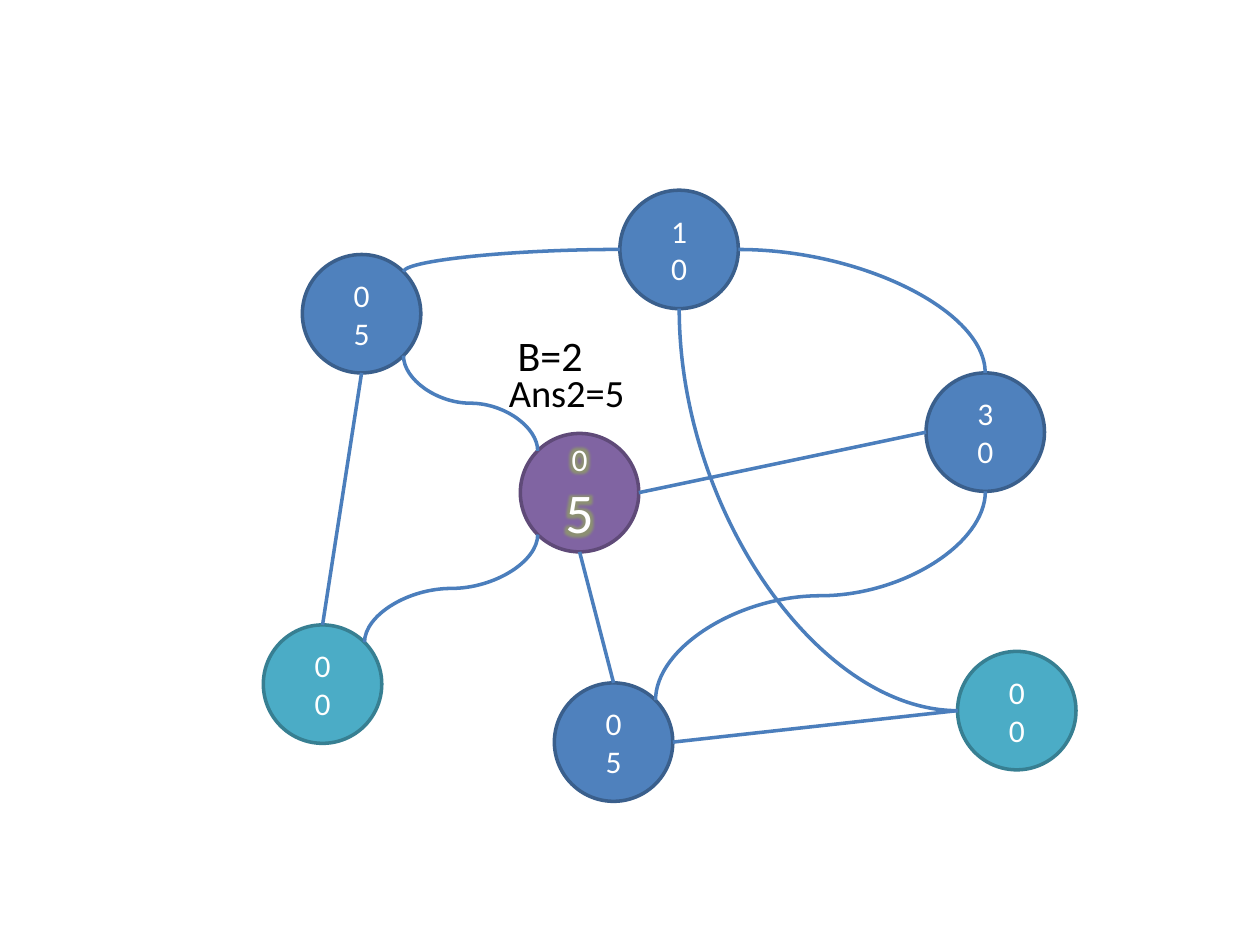
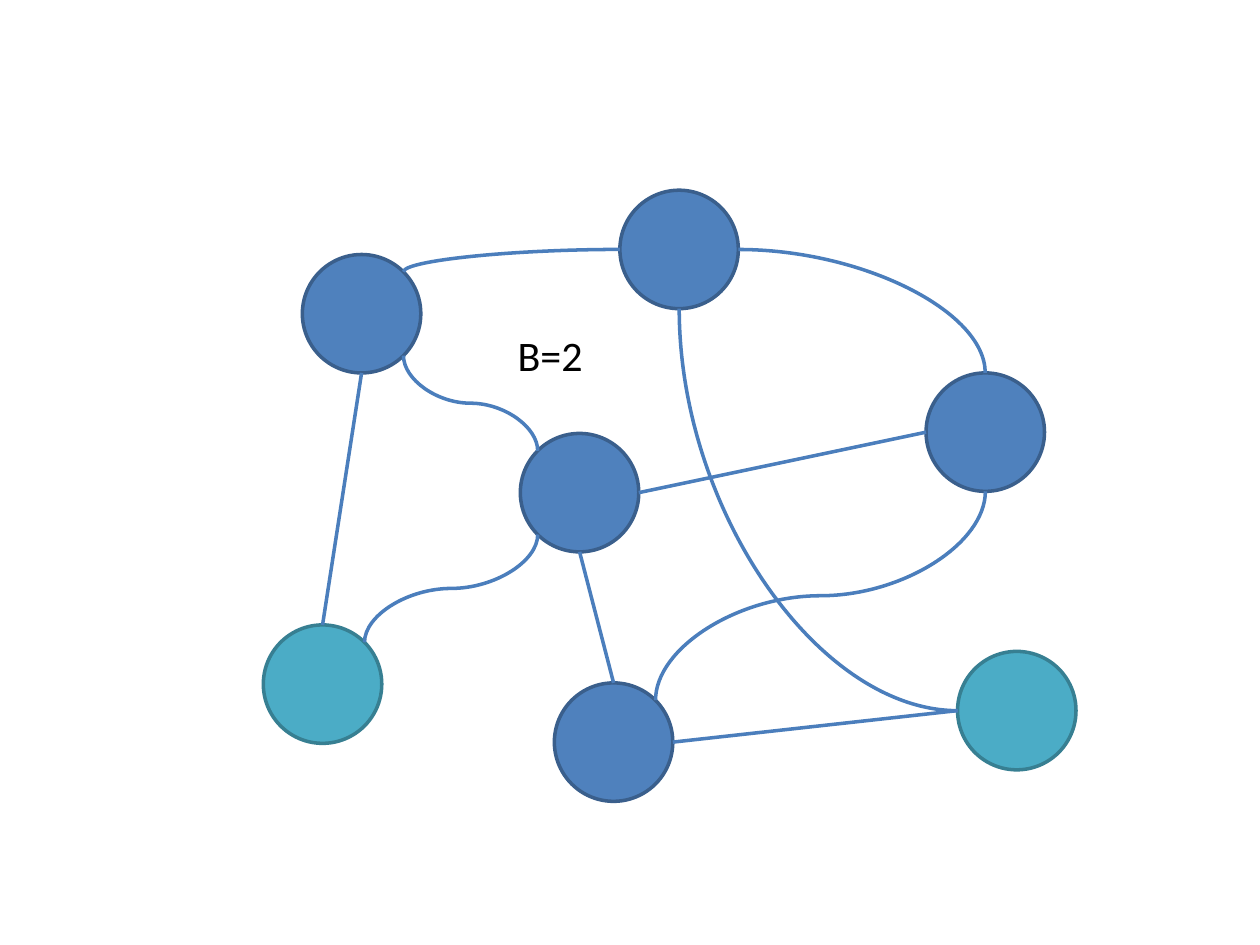
import pptx
import pptx.util
import pptx.dml.color
import pptx.enum.shapes
import pptx.enum.text
import pptx.oxml.ns
import lxml.etree
from collections import namedtuple

RGB = pptx.dml.color.RGBColor
Inches = pptx.util.Inches
Pt = pptx.util.Pt
qn = pptx.oxml.ns.qn

BLUE, BLUE_RIM = RGB(0x4F, 0x81, 0xBD), RGB(0x3A, 0x5F, 0x8C)
TEAL, TEAL_RIM = RGB(0x4B, 0xAC, 0xC6), RGB(0x37, 0x7F, 0x92)
PURPLE, PURPLE_RIM = RGB(0x80, 0x64, 0xA2), RGB(0x5F, 0x4A, 0x78)
EDGE = RGB(0x4B, 0x7E, 0xBC)
GLOW = RGB(0xA0, 0xD4, 0x2E)
WHITE, BLACK = RGB(255, 255, 255), RGB(0, 0, 0)
FONT = "Calibri"
LINE_WIDTH = Pt(2)

COLUMNS, ROWS = 66, 49
RADIUS = 4.7
DIAGONAL = RADIUS * 0.5 ** 0.5
SIDES = {
    "top": (0, -RADIUS), "bottom": (0, RADIUS),
    "left": (-RADIUS, 0), "right": (RADIUS, 0),
    "top right": (DIAGONAL, -DIAGONAL), "bottom right": (DIAGONAL, DIAGONAL),
    "top left": (-DIAGONAL, -DIAGONAL), "bottom left": (-DIAGONAL, DIAGONAL),
}
CENTRES = {
    "north west": (8.7, 9.9), "north": (33.9, 4.8), "south west": (5.6, 39.3),
    "middle": (26, 24.1), "south": (28.7, 43.9), "east": (58.2, 19.3),
    "south east": (60.7, 41.4),
}
STRAIGHT_EDGES = [
    ("north west", "bottom", "south west", "top"),
    ("middle", "bottom", "south", "top"),
    ("south", "right", "south east", "left"),
    ("east", "left", "middle", "right"),
]
CURVED_EDGES = [
    ("north west", "top right", "north", "left", "curvedConnector2"),
    ("south west", "top right", "middle", "bottom left", "curvedConnector3"),
    ("north west", "bottom right", "middle", "top left", "curvedConnector3"),
    ("north", "bottom", "south east", "left", "curvedConnector2"),
    ("south", "top right", "east", "bottom", "curvedConnector3"),
    ("north", "right", "east", "top", "curvedConnector2"),
]
LEAVES = {"south west", "south east"}
COUNTS = {
    "north west": "05", "north": "10", "south west": "00", "middle": "05",
    "south": "05", "east": "30", "south east": "00",
}
BOUND_LABEL = ("B=2", (20.1, 10.7, 7.2, 5), 24)
ANSWER_LABEL = ("Ans2=5", (19.4, 13.8, 11.3, 4.7), 22)

Box = namedtuple("Box", "left top width height")


def on_grid(box, column, row):
    return (round(box.left + box.width * column / COLUMNS),
            round(box.top + box.height * row / ROWS))


def set_font(run, size, colour):
    for attribute, value in {"name": FONT, "size": Pt(size)}.items():
        setattr(run.font, attribute, value)
    run.font.color.rgb = colour


def add_glow(run):
    effects = lxml.etree.Element(qn("a:effectLst"))
    glow = lxml.etree.SubElement(effects, qn("a:glow"), rad=str(Pt(8)))
    colour = lxml.etree.SubElement(glow, qn("a:srgbClr"), val=str(GLOW))
    lxml.etree.SubElement(colour, qn("a:alpha"), val="40000")
    run.font.fill._xPr.find(qn("a:solidFill")).addnext(effects)


def draw_node(slide, box, name, fill, rim, digits, highlighted):
    column, row = CENTRES[name]
    left, top = on_grid(box, column - RADIUS, row - RADIUS)
    right, bottom = on_grid(box, column + RADIUS, row + RADIUS)
    node = slide.shapes.add_shape(pptx.enum.shapes.MSO_SHAPE.OVAL,
                                  left, top, right - left, bottom - top)
    node.shadow.inherit = False
    node.fill.solid()
    node.fill.fore_color.rgb = fill
    node.line.color.rgb = rim
    node.line.width = LINE_WIDTH
    frame = node.text_frame
    frame.vertical_anchor = pptx.enum.text.MSO_ANCHOR.MIDDLE
    for index, digit in enumerate(digits):
        paragraph = frame.add_paragraph() if index else frame.paragraphs[0]
        paragraph.alignment = pptx.enum.text.PP_ALIGN.CENTER
        run = paragraph.add_run()
        run.text = digit
        set_font(run, 32 if highlighted and index else 18, WHITE)
        if highlighted:
            add_glow(run)


def edge_end(box, name, side):
    column, row = CENTRES[name]
    across, down = SIDES[side]
    return on_grid(box, column + across, row + down)


def add_edge(slide, kind, start, end):
    edge = slide.shapes.add_connector(kind, *start, *end)
    edge.line.color.rgb = EDGE
    edge.line.width = LINE_WIDTH
    lxml.etree.SubElement(edge._element.spPr, qn("a:effectLst"))
    return edge


def draw_straight_edge(slide, box, source, source_side, target, target_side):
    add_edge(slide, pptx.enum.shapes.MSO_CONNECTOR.STRAIGHT,
             edge_end(box, source, source_side), edge_end(box, target, target_side))


def draw_curved_edge(slide, box, source, source_side, target, target_side, curve):
    start = edge_end(box, source, source_side)
    end = edge_end(box, target, target_side)
    edge = add_edge(slide, pptx.enum.shapes.MSO_CONNECTOR.CURVE, start, end)
    properties = edge._element.spPr
    properties.find(qn("a:prstGeom")).set("prst", curve)
    if source_side in ("left", "right"):
        return
    width, height = abs(end[0] - start[0]), abs(end[1] - start[1])
    rising = end[1] < start[1]
    turned = {
        "left": (start[0] + end[0] - height) // 2,
        "top": (start[1] + end[1] - width) // 2,
        "width": height, "height": width,
    }
    for attribute, value in turned.items():
        setattr(edge, attribute, value)
    transform = properties.find(qn("a:xfrm"))
    quarter_turns = 1 if rising else 3
    for attribute, value in {"rot": str(quarter_turns * 90 * 60000), "flipH": "1",
                             "flipV": "1" if rising else "0"}.items():
        transform.set(attribute, value)


def draw_label(slide, box, text, place, size):
    column, row, columns, rows = place
    left, top = on_grid(box, column, row)
    right, bottom = on_grid(box, column + columns, row + rows)
    frame = slide.shapes.add_textbox(left, top, right - left, bottom - top).text_frame
    frame.word_wrap = False
    frame.auto_size = pptx.enum.text.MSO_AUTO_SIZE.SHAPE_TO_FIT_TEXT
    run = frame.paragraphs[0].add_run()
    run.text = text
    set_font(run, size, BLACK)


def draw_graph(slide, box, counts, highlight, labels):
    for name in CENTRES:
        fill, rim = (TEAL, TEAL_RIM) if name in LEAVES else (BLUE, BLUE_RIM)
        if name == highlight:
            fill, rim = PURPLE, PURPLE_RIM
        draw_node(slide, box, name, fill, rim, counts.get(name, ""), name == highlight)
    for edge in STRAIGHT_EDGES:
        draw_straight_edge(slide, box, *edge)
    for edge in CURVED_EDGES:
        draw_curved_edge(slide, box, *edge)
    for label in labels:
        draw_label(slide, box, *label)


deck = pptx.Presentation()
deck.slide_width, deck.slide_height = Inches(10), Inches(7.5)
graph_box = Box(deck.slide_width * 0.2, deck.slide_height * 0.2 - Inches(0),
                deck.slide_width * 0.66, deck.slide_height * 49 / 75)
graph_box = graph_box._replace(top=deck.slide_height * 0.2)
blank = deck.slide_layouts[6]
for counts, highlight, labels in [
    (COUNTS, "middle", [BOUND_LABEL, ANSWER_LABEL]),
    ({}, None, [BOUND_LABEL]),
]:
    draw_graph(deck.slides.add_slide(blank), graph_box, counts, highlight, labels)
deck.save("out.pptx")
